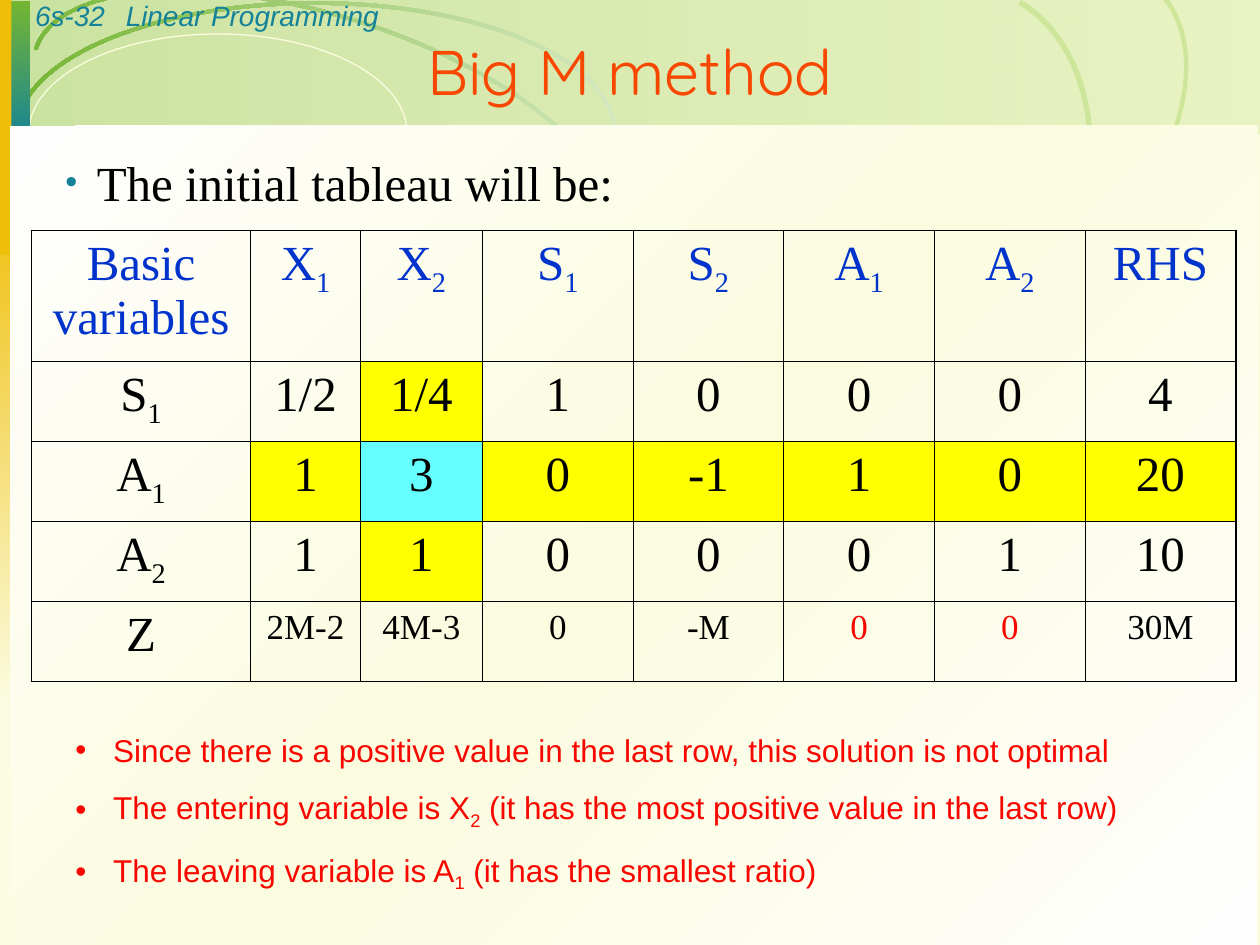
import pptx
import pptx.util
import pptx.oxml
import pptx.dml.color
import pptx.enum.shapes
import pptx.enum.text

Inches = pptx.util.Inches
Pt = pptx.util.Pt
RGB = pptx.dml.color.RGBColor
KIND = pptx.enum.shapes.MSO_SHAPE
ALIGN = pptx.enum.text.PP_ALIGN
NS = 'xmlns:a="http://schemas.openxmlformats.org/drawingml/2006/main"'

CREAM = RGB(0xFB, 0xFC, 0xDF)
WHITE = RGB(0xFE, 0xFE, 0xFE)
MINT = RGB(0xD4, 0xE8, 0xC0)
LIME = RGB(0xBC, 0xDD, 0x7B)
PALE = RGB(0xCD, 0xE6, 0x9A)
GREEN = RGB(0x74, 0xB6, 0x32)
TEAL = RGB(0x14, 0x82, 0x98)
GOLD = RGB(0xEF, 0xBE, 0x09)
ORANGE = RGB(0xF8, 0x47, 0x00)
RED = RGB(0xF8, 0x06, 0x00)
BLUE = RGB(0x00, 0x33, 0xCC)
BLACK = RGB(0, 0, 0)
YELLOW = RGB(0xFF, 0xFF, 0x00)
CYAN = RGB(0x66, 0xFF, 0xFF)


def write(par, text, form):
    """Fill a paragraph; every second part between underscores is a subscript."""
    for n, part in enumerate(text.split("_")):
        if not part:
            continue
        run = par.add_run()
        run.text = part
        for key, val in form.items():
            if key == "color":
                run.font.color.rgb = val
            else:
                setattr(run.font, key, val)
        if n % 2:
            run.font._element.set("baseline", "-25000")


def bullet(par, left, color, size):
    """Give a paragraph a hanging bullet."""
    props = par._p.get_or_add_pPr()
    props.set("marL", str(Inches(left)))
    props.set("indent", str(-Inches(left)))
    for xml in (f'<a:buClr {NS}><a:srgbClr val="{color}"/></a:buClr>',
                f'<a:buSzPct {NS} val="{size * 1000}"/>',
                f'<a:buFont {NS} typeface="Arial"/>',
                f'<a:buChar {NS} char="•"/>'):
        props.append(pptx.oxml.parse_xml(xml))


deck = pptx.Presentation()
deck.slide_width, deck.slide_height = Inches(10), Inches(7.5)
slide = deck.slides.add_slide(deck.slide_layouts[6])
slide.background.fill.solid()
slide.background.fill.fore_color.rgb = CREAM

# Backdrop: kind, box, turn, flip, angle, stops (colour, place, opacity)
RECT, ARC = KIND.RECTANGLE, KIND.BLOCK_ARC
parts = [
    (RECT, (0.01, 0, 9.99, 1.06), 0, False, 180, [(LIME, 0, 29), (GREEN, 100, 36)]),
    (ARC, (0.16, 0.11, 4.77, 1.99), 17.5, False, 162, [(MINT, 0, 100), (GREEN, 100, 100)]),
    (KIND.OVAL, (0.23, 0.27, 3, 1.56), 0, False, 0, []),
    (RECT, (0, 1.55, 0.22, 4.01), 0, False, 90, [(GOLD, 0, 100), (CREAM, 100, 100)]),
    (ARC, (5.07, 0.24, 4.77, 2.59), 318.2, True, 0, [(PALE, 0, 100)]),
    (ARC, (4.5, 0.52, 4.77, 3.06), 300.7, True, 0, [(PALE, 0, 100)]),
    (ARC, (0.12, 0.01, 4.77, 2.07), 0, False, 180, [(MINT, 0, 100), (GREEN, 100, 100)]),
    (RECT, (0.01, 0.01, 0.23, 1.14), 0, False, 90, [(GREEN, 0, 100), (TEAL, 100, 100)]),
    (RECT, (0, 0, 0.09, 2.02), 0, False, 0, [(GOLD, 0, 100)]),
    (RECT, (0.08, 1, 9.9, 6.5), 0, False, 225,
     [(WHITE, 0, 100), (CREAM, 50, 100), (WHITE, 100, 100)]),
]
for kind, box, turn, flip, angle, stops in parts:
    shape = slide.shapes.add_shape(kind, *map(Inches, box))
    shape.shadow.inherit = False
    shape.rotation = turn
    shape.line.fill.background()
    if flip:
        shape.element.spPr.xfrm.set("flipV", "1")
    if kind == ARC:
        for n, val in enumerate((108, 0, 0.014)):
            shape.adjustments[n] = val
    if not stops:
        shape.fill.background()
        shape.line.color.rgb = CREAM
        shape.line.width = Pt(0.75)
    elif len(stops) == 1:
        shape.fill.solid()
        shape.fill.fore_color.rgb = stops[0][0]
    else:
        marks = "".join(
            f'<a:gs pos="{place * 1000}"><a:srgbClr val="{color}">'
            f'<a:alpha val="{alpha * 1000}"/></a:srgbClr></a:gs>'
            for color, place, alpha in stops)
        shape.element.spPr.find(pptx.oxml.ns.qn("a:prstGeom")).addnext(pptx.oxml.parse_xml(
            f'<a:gradFill {NS} rotWithShape="1"><a:gsLst>{marks}</a:gsLst>'
            f'<a:lin ang="{angle * 60000}" scaled="0"/></a:gradFill>'))

# Text: box, format, align, space before, bullet (left, colour, size), lines
head = {"name": "Arial", "size": Pt(16), "italic": True, "color": TEAL}
title = {"name": "Quicksand", "size": Pt(36), "color": ORANGE}
body = {"name": "Times New Roman", "size": Pt(28), "color": BLACK}
note = {"name": "Arial", "size": Pt(18), "color": RED}
texts = [
    ((0.18, -0.06, 0.96, 0.37), head, ALIGN.LEFT, 10, None, ["6s-32"]),
    ((0.9, -0.06, 8.67, 0.37), head, ALIGN.LEFT, 10, None, ["Linear Programming"]),
    ((0, 0.06, 10, 1), title, ALIGN.CENTER, 0, None, ["Big M method"]),
    ((0.42, 1.16, 4.69, 0.6), body, ALIGN.LEFT, 7, (0.25, TEAL, 70),
     ["The initial tableau will be:"]),
    ((0.5, 5.75, 8.83, 1.4), note, ALIGN.LEFT, 11.2, (0.3, RED, 100),
     ["Since there is a positive value in the last row, this solution is not optimal",
      "The entering variable is X_2_ (it has the most positive value in the last row)",
      "The leaving variable is A_1_ (it has the smallest ratio)"]),
]
for box, form, align, space, dot, lines in texts:
    frame = slide.shapes.add_textbox(*map(Inches, box)).text_frame
    frame.word_wrap = True
    if form is title:
        frame.vertical_anchor = pptx.enum.text.MSO_ANCHOR.MIDDLE
    for n, line in enumerate(lines):
        par = frame.add_paragraph() if n else frame.paragraphs[0]
        par.alignment = align
        par.space_before = Pt(space)
        if dot:
            bullet(par, *dot)
        write(par, line, form)

# Tableau
rows = [
    ["Basic variables", "X_1", "X_2", "S_1", "S_2", "A_1", "A_2", "RHS"],
    ["S_1", "1/2", "1/4", "1", "0", "0", "0", "4"],
    ["A_1", "1", "3", "0", "-1", "1", "0", "20"],
    ["A_2", "1", "1", "0", "0", "0", "1", "10"],
    ["Z", "2M-2", "4M-3", "0", "-M", "0", "0", "30M"],
]
last, end = len(rows) - 1, len(rows[0]) - 1
table = slide.shapes.add_table(last + 1, end + 1, Inches(0.25), Inches(1.83),
                               Inches(9.56), Inches(3.58)).table
table.first_row = table.horz_banding = False
wide = [1.74, 0.87, 0.97]
wide += [(9.56 - sum(wide)) / 5] * 5
for col, width in zip(table.columns, wide):
    col.width = Inches(width)
for r, row in enumerate(rows):
    table.rows[r].height = Inches(1.04 if r == 0 else (3.58 - 1.04) / last)
    for c, text in enumerate(row):
        cell = table.cell(r, c)
        small = r == last and c > 0
        form = dict(body)
        if r == 0:
            form["color"] = BLUE
        if small:
            form["size"] = Pt(20)
            if c in (5, 6):
                form["color"] = RED
        par = cell.text_frame.paragraphs[0]
        par.alignment = ALIGN.CENTER
        par.space_before = Pt(5 if small else 7)
        write(par, text, form)

        # Borders, heavier on the outer edge
        props = cell._tc.get_or_add_tcPr()
        for side, outer in (("L", c == 0), ("R", c == end), ("T", r == 0), ("B", r == last)):
            props.append(pptx.oxml.parse_xml(
                f'<a:ln{side} {NS} w="{Pt(1.08 if outer else 0.45)}"><a:solidFill>'
                f'<a:srgbClr val="{BLACK}"/></a:solidFill></a:ln{side}>'))

        # Pivot row and column
        if (r == 2 and c > 0) or (c == 2 and 0 < r < last):
            cell.fill.solid()
            cell.fill.fore_color.rgb = CYAN if (r, c) == (2, 2) else YELLOW
        else:
            cell.fill.background()

deck.save("out.pptx")
